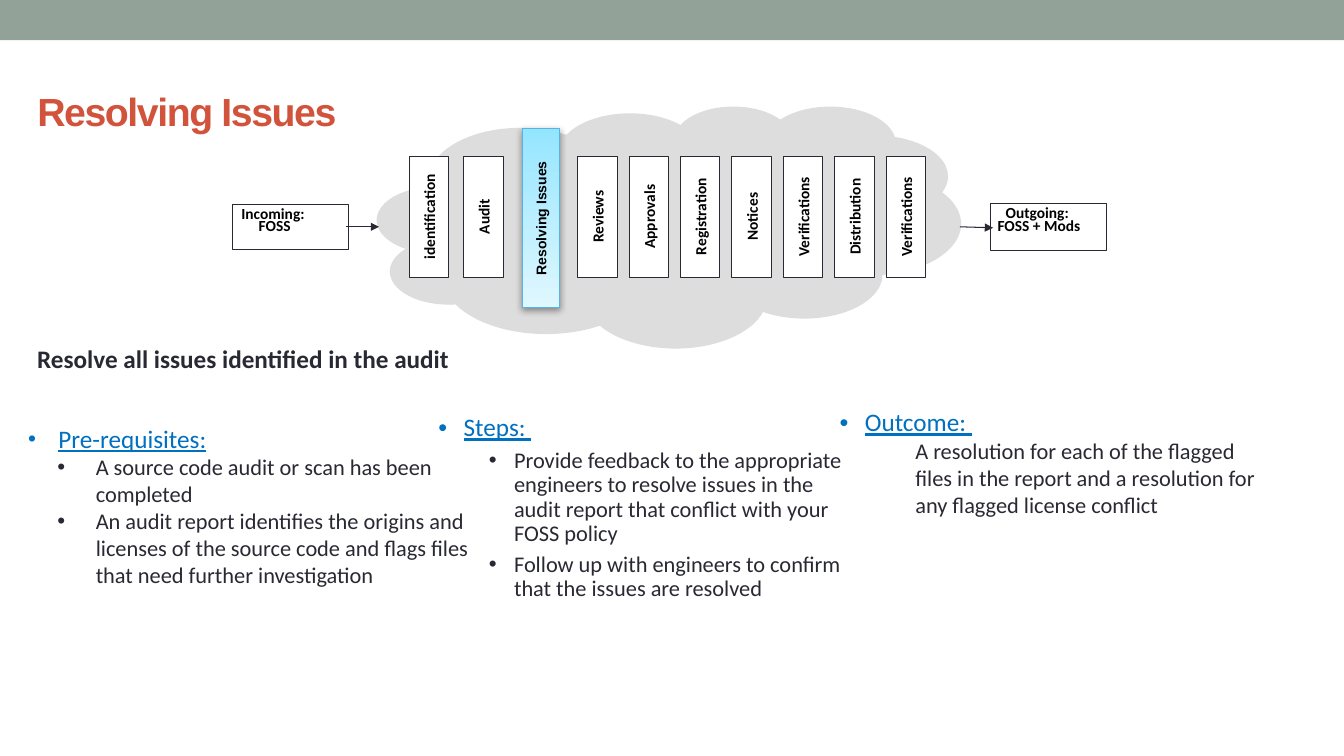
from lxml import etree
from pptx import Presentation
from pptx.dml.color import RGBColor
from pptx.enum import shapes, text
from pptx.oxml import ns
from pptx.util import Inches, Pt

COLORS = {"band": "93A299", "cloud": "DDDDDD", "white": "FFFFFF", "ink": "292934",
          "black": "000000", "blue": "0070C0", "title": "D2533C",
          "glow_top": "95E5FF", "glow_end": "E0F7FF", "glow_line": "55B4E5"}

# Content: process steps as (label, left)
FIRST_STEPS = [("identification", 4.06), ("Audit", 4.6)]
LATER_STEPS = ["Reviews", "Approvals", "Registration", "Notices", "Verifications",
               "Distribution", "Verifications"]
STEPS = FIRST_STEPS + [(label, 5.73 + 0.51 * i) for i, label in enumerate(LATER_STEPS)]

# Ends of the process: lines, place, left and right insets, line spacing
ENDS = [(["Incoming: ", "FOSS"], (2.31, 2.03, 1.15, 0.45), (0.05, 0.37), 0.65),
        (["Outgoing: ", "FOSS + Mods"], (9.82, 2.02, 1.15, 0.47), (0.02, 0.2), 0.7)]
ARROWS = [(3.43, 2.25, 3.76, 2.25), (9.52, 2.25, 9.85, 2.26)]

# Columns: heading and item formats hold (indent, hanging, bullet, paragraph format)
STEP_HEAD = (0.25, -0.25, "•", {"line_spacing": 0.9, "space_before": Pt(10)})
COLUMNS = [
    {"at": (0, 3.85, 4.88, 3.26), "insets": (0.28, 0.2, 0.2, 0.24),
     "heading": "Pre-requisites:", "bullet_size": 90,
     "head": (0.3, -0.3, "•", {"line_spacing": 1.5, "space_before": Pt(10)}),
     "item": (0.67, -0.38, "•", {}),
     "items": ["A source code audit or scan has been completed ",
               "An audit report identifies the origins and licenses of the source code "
               "and flags files that need further investigation"]},
    {"at": (8.23, 4.02, 4.42, 2.52), "heading": "Outcome: ", "head": STEP_HEAD,
     "item": (0.75, 0, None, {}),
     "items": ["A resolution for each of the flagged files in the report and a "
               "resolution for any flagged license conflict "]},
    {"at": (4.25, 4.07, 4.42, 2.86), "heading": "Steps: ", "head": STEP_HEAD,
     "item": (0.75, -0.25, "•", {"level": 1, "line_spacing": 0.9, "space_before": Pt(5)}),
     "items": ["Provide feedback to the appropriate engineers to resolve issues in the "
               "audit report that conflict with your FOSS policy ",
               "Follow up with engineers to confirm that the issues are resolved"]},
]


def color(name):
    return RGBColor.from_string(COLORS[name])


def place(at):
    return [Inches(length) for length in at]


def apply(target, values):
    for name, value in values.items():
        setattr(target, name, value)


def add_xml(parent, tag, **attributes):
    return etree.SubElement(parent, ns.qn(tag), attributes)


def write(para, words, size, tint, font="Calibri", **values):
    span = para.add_run()
    span.text = words
    apply(span.font, {"size": Pt(size), "name": font, **values})
    span.font.color.rgb = color(tint)
    return span


def set_frame(frame, insets=(0.1, 0.05, 0.1, 0.05), anchor=text.MSO_ANCHOR.TOP):
    sides = ("margin_left", "margin_top", "margin_right", "margin_bottom")
    apply(frame, {"word_wrap": True, "vertical_anchor": anchor,
                  **dict(zip(sides, place(insets)))})


def add_box(kind, at, fill, line=None):
    box = page.shapes.add_shape(kind, *place(at))
    box.shadow.inherit = False
    if fill:
        box.fill.solid()
        box.fill.fore_color.rgb = color(fill)
    if line:
        box.line.color.rgb = color(line)
        box.line.width = Pt(0.75)
    else:
        box.line.fill.background()
    return box


def add_step(label, at, fill, line, size, font):
    box = add_box(shapes.MSO_SHAPE.RECTANGLE, at, fill, line)
    set_frame(box.text_frame, (0, 0, 0, 0), text.MSO_ANCHOR.MIDDLE)
    box.text_frame._txBody.bodyPr.set("vert", "vert270")
    para = box.text_frame.paragraphs[0]
    para.alignment = text.PP_ALIGN.CENTER
    write(para, label, size, "black", font, bold=True)
    return box


def format_item(para, indent, hanging, bullet, values, bullet_size=100):
    apply(para, values)
    props = para._p.get_or_add_pPr()
    props.set("marL", str(Inches(indent)))
    props.set("indent", str(Inches(hanging)))
    if bullet:
        add_xml(props, "a:buSzPct", val=str(bullet_size * 1000))
        add_xml(props, "a:buFont", typeface="Arial")
        add_xml(props, "a:buChar", char=bullet)
    else:
        add_xml(props, "a:buNone")


deck = Presentation()
deck.slide_width, deck.slide_height = Inches(13.33), Inches(7.5)
page = deck.slides.add_slide(deck.slide_layouts[5])

# Top band and cloud
add_box(shapes.MSO_SHAPE.RECTANGLE, (0, 0, 13.33, 0.4), "band")
cloud = add_box(shapes.MSO_SHAPE.CLOUD_CALLOUT, (3.74, 1.05, 5.79, 2.4), "cloud")
cloud.adjustments[0], cloud.adjustments[1] = -0.25, 0.16

# Incoming and outgoing boxes
for lines, at, (left, right), spacing in ENDS:
    box = add_box(shapes.MSO_SHAPE.RECTANGLE, at, "white", "ink")
    frame = box.text_frame
    set_frame(frame, (left, 0.05, right, 0.05))
    for i, words in enumerate(lines):
        para = frame.add_paragraph() if i else frame.paragraphs[0]
        apply(para, {"alignment": text.PP_ALIGN.CENTER, "line_spacing": spacing})
        write(para, words, 11, "black", bold=True)

# Arrows
for ends in ARROWS:
    arrow = page.shapes.add_connector(shapes.MSO_CONNECTOR.STRAIGHT, *place(ends))
    arrow.line.color.rgb = color("ink")
    arrow.line.width = Pt(0.75)
    add_xml(arrow.line._get_or_add_ln(), "a:tailEnd", type="triangle")
    add_xml(arrow._element.spPr, "a:effectLst")

# Current step, with gradient and shadow
current = add_step("Resolving Issues", (5.18, 1.28, 0.37, 1.77), None, "glow_line", 10, "Arial")
current.fill.gradient()
current.fill.gradient_angle = 270
for stop, name in zip(current.fill.gradient_stops, ("glow_top", "glow_end")):
    stop.color.rgb = color(name)
effects = current._element.spPr.find(ns.qn("a:effectLst"))
shadow = add_xml(effects, "a:outerShdw", blurRad=str(Pt(5)), dist=str(Pt(1.6)),
                 dir="5400000", rotWithShape="0")
add_xml(add_xml(shadow, "a:srgbClr", val=COLORS["black"]), "a:alpha", val="38000")

# Other steps
for label, left in STEPS:
    add_step(label, (left, 1.55, 0.39, 1.2), "white", "ink", 11, "Calibri")

# Columns
for column in COLUMNS:
    frame = page.shapes.add_textbox(*place(column["at"])).text_frame
    set_frame(frame, column.get("insets", (0.1, 0.05, 0.1, 0.05)))
    heading = frame.paragraphs[0]
    format_item(heading, *column["head"], column.get("bullet_size", 100))
    write(heading, column["heading"], 18, "blue", underline=True)
    for words in column["items"]:
        para = frame.add_paragraph()
        format_item(para, *column["item"])
        write(para, words, 16, "ink")

# Subtitle
frame = page.shapes.add_textbox(*place((0.27, 3.36, 7.92, 0.4))).text_frame
set_frame(frame)
write(frame.paragraphs[0], "Resolve all issues identified in the audit", 18, "ink", bold=True)

# Title
title = page.shapes.title
apply(title, dict(zip(("left", "top", "width", "height"), place((0.27, 0.56, 12, 1.08)))))
set_frame(title.text_frame, anchor=text.MSO_ANCHOR.MIDDLE)
para = title.text_frame.paragraphs[0]
para.alignment = text.PP_ALIGN.LEFT
span = write(para, "Resolving Issues", 28, "title", "Arial", bold=True)
span.font._element.set("spc", "-100")

deck.save("out.pptx")
